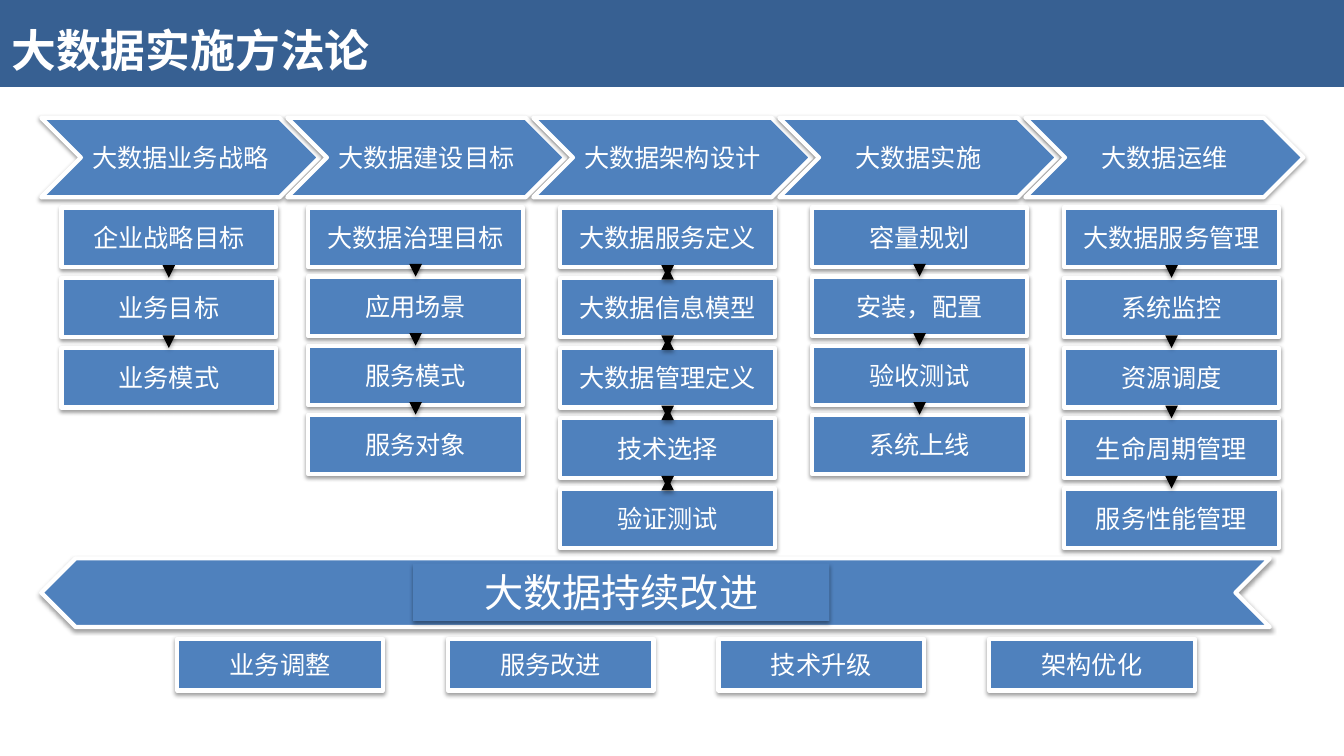
from dataclasses import dataclass

from pptx import Presentation
from pptx.dml.color import RGBColor
from pptx.enum.shapes import MSO_CONNECTOR, MSO_SHAPE
from pptx.enum.text import MSO_ANCHOR, MSO_AUTO_SIZE, PP_ALIGN
from pptx.oxml import parse_xml
from pptx.oxml.ns import nsdecls
from pptx.oxml.xmlchemy import OxmlElement
from pptx.util import Cm, Pt

RECT, CHEVRON = MSO_SHAPE.RECTANGLE, MSO_SHAPE.CHEVRON
STRAIGHT = MSO_CONNECTOR.STRAIGHT
CENTER, LEFT = PP_ALIGN.CENTER, PP_ALIGN.LEFT
TOP, MIDDLE, BOTTOM = MSO_ANCHOR.TOP, MSO_ANCHOR.MIDDLE, MSO_ANCHOR.BOTTOM

# Content
TITLE = "大数据实施方法论"
# phase, step column left (cm), step pitch (cm), arrows point both ways, steps
PHASES = [
    ("大数据业务战略", 1.55, 1.77, False,
     ["企业战略目标", "业务目标", "业务模式"]),
    ("大数据建设目标", 7.77, 1.74, False,
     ["大数据治理目标", "应用场景", "服务模式", "服务对象"]),
    ("大数据架构设计", 14.12, 1.77, True,
     ["大数据服务定义", "大数据信息模型", "大数据管理定义", "技术选择", "验证测试"]),
    ("大数据实施", 20.47, 1.74, False,
     ["容量规划", "安装，配置", "验收测试", "系统上线"]),
    ("大数据运维", 26.82, 1.77, False,
     ["大数据服务管理", "系统监控", "资源调度", "生命周期管理", "服务性能管理"]),
]
IMPROVEMENT = "大数据持续改进"
MEASURES = ["业务调整", "服务改进", "技术升级", "架构优化"]


@dataclass(frozen=True)
class Theme:
    band: RGBColor = RGBColor(0x37, 0x60, 0x92)
    fill: RGBColor = RGBColor(0x4F, 0x81, 0xBD)
    white: RGBColor = RGBColor(0xFF, 0xFF, 0xFF)
    arrow: RGBColor = RGBColor(0, 0, 0)
    title_font: str = "Noto Sans CJK SC"
    body_font: str = "Cabin"
    title_size: int = 32
    improvement_size: int = 28
    body_size: int = 18
    line_width: int = 3


THEME = Theme()

# Layout in cm
PHASE_LEFT, PHASE_TOP, PHASE_PITCH = 1.04, 2.97, 6.2
PHASE_SIZE = (7.01, 2)
STEP_TOP, STEP_WIDTH, STEP_HEIGHT = 5.23, 5.41, 1.5
MEASURE_LEFT, MEASURE_TOP, MEASURE_PITCH = 4.47, 16.1, 6.82
MEASURE_SIZE = (5.18, 1.3)


def add_shadow(shape, opacity, distance):
    shape._element.spPr.append(parse_xml(
        f'<a:effectLst {nsdecls("a")}>'
        f'<a:outerShdw blurRad="{Pt(3.1)}" dist="{Pt(distance)}" dir="5400000" rotWithShape="0">'
        f'<a:srgbClr val="000000"><a:alpha val="{opacity * 1000}"/></a:srgbClr>'
        '</a:outerShdw></a:effectLst>'))


def write(frame, text, size, font_name, align, anchor, bold=False):
    frame.word_wrap = True
    frame.vertical_anchor = anchor
    paragraph = frame.paragraphs[0]
    paragraph.alignment = align
    run = paragraph.add_run()
    run.text = text
    run.font.size = Pt(size)
    run.font.bold = bold
    run.font.color.rgb = THEME.white
    run.font.name = font_name
    east_asian = OxmlElement("a:ea")
    east_asian.set("typeface", font_name)
    run.font._element.append(east_asian)


def add_block(kind, left, top, size, text="", text_size=THEME.body_size,
              anchor=MIDDLE, outlined=True):
    block = slide.shapes.add_shape(kind, Cm(left), Cm(top), *map(Cm, size))
    block.fill.solid()
    block.fill.fore_color.rgb = THEME.fill
    if outlined:
        block.line.color.rgb = THEME.white
        block.line.width = Pt(THEME.line_width)
    else:
        block.line.fill.background()
    add_shadow(block, 38, 1.6)
    if text:
        write(block.text_frame, text, text_size, THEME.body_font, CENTER, anchor)
    return block


def add_arrow(x, start, end, two_way):
    arrow = slide.shapes.add_connector(STRAIGHT, Cm(x), Cm(start), Cm(x), Cm(end))
    arrow.line.color.rgb = THEME.arrow
    arrow.line.width = Pt(THEME.line_width)
    for tag in ("a:headEnd", "a:tailEnd") if two_way else ("a:tailEnd",):
        arrowhead = OxmlElement(tag)
        arrowhead.set("type", "triangle")
        arrow.line._get_or_add_ln().append(arrowhead)
    add_shadow(arrow, 35, 1.8)


prs = Presentation()
prs.slide_width, prs.slide_height = Cm(33.87), Cm(19.05)
slide = prs.slides.add_slide(prs.slide_layouts[5])

# Title band, behind the title
band = slide.shapes.add_shape(RECT, 0, 0, prs.slide_width, Cm(2.16))
band.shadow.inherit = False
band.fill.solid()
band.fill.fore_color.rgb = THEME.band
band.line.color.rgb = THEME.band
band.line.width = Pt(2)
title = slide.shapes.title
title._element.addprevious(band._element)
title.left, title.top, title.width, title.height = Cm(0.03), Cm(0.48), Cm(29.87), Cm(1.57)
write(title.text_frame, TITLE, THEME.title_size, THEME.title_font, LEFT, BOTTOM, bold=True)

# Phases and their steps
for column, (phase, left, pitch, two_way, steps) in enumerate(PHASES):
    add_block(CHEVRON, PHASE_LEFT + column * PHASE_PITCH, PHASE_TOP, PHASE_SIZE, phase)
    for row, step in enumerate(steps):
        add_block(RECT, left, STEP_TOP + row * pitch, (STEP_WIDTH, STEP_HEIGHT), step)
    for row in range(1, len(steps)):
        end = STEP_TOP + row * pitch
        add_arrow(left + STEP_WIDTH / 2, end - pitch + STEP_HEIGHT, end, two_way)

# Continuous improvement
feedback = add_block(CHEVRON, 1.04, 14.07, (30.96, 1.73))
feedback.rotation = 180
improvement = add_block(RECT, 10.41, 14.2, (10.49, 1.45), IMPROVEMENT,
                        THEME.improvement_size, TOP, outlined=False)
improvement.text_frame.auto_size = MSO_AUTO_SIZE.SHAPE_TO_FIT_TEXT

for column, measure in enumerate(MEASURES):
    add_block(RECT, MEASURE_LEFT + column * MEASURE_PITCH, MEASURE_TOP, MEASURE_SIZE, measure)

prs.save("out.pptx")
